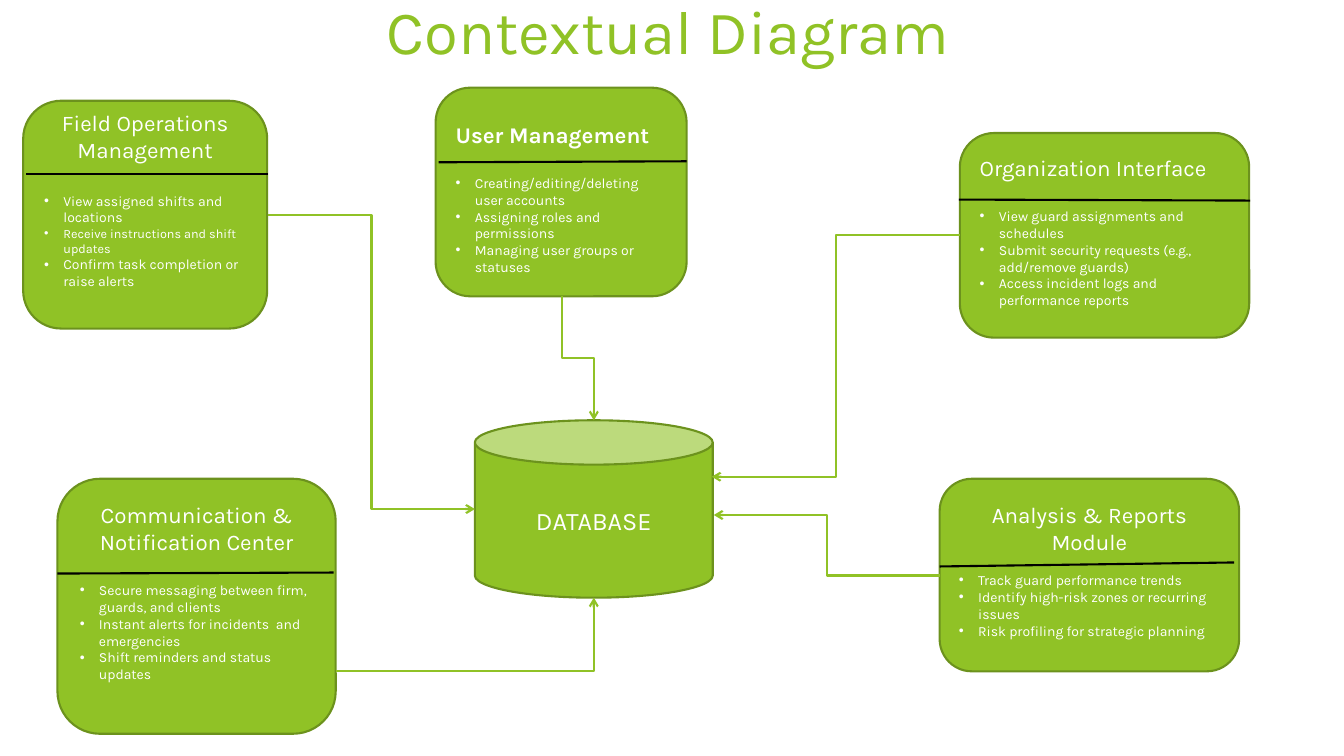
from lxml import etree
from pptx import Presentation
from pptx import util as u
from pptx.dml.color import RGBColor
from pptx.enum import shapes, text
from pptx.oxml.ns import qn

GREEN, DARK_GREEN, BLACK, WHITE = "90C226", "6C921D", "000000", "FFFFFF"
SHAPE, ALIGN, ANCHOR = shapes.MSO_SHAPE, text.PP_ALIGN, text.MSO_ANCHOR

# Box, top margin, heading format, heading, gap below it in points, bullets, divider ends
CARDS = [
    ((4.32, 0.87, 2.49, 2.07), 0.23, {"bold": True}, ALIGN.LEFT, "User Management", 19,
     [("Creating/editing/deleting user accounts", 10),
      ("Assigning roles and permissions", 10),
      ("Managing user groups or statuses", 10)],
     (4.35, 1.61, 6.81, 1.6)),
    ((0.57, 4.75, 2.76, 2.53), 0.1, {}, ALIGN.CENTER, "Communication & Notification Center", 19,
     [("Secure messaging between firm, guards, and clients", 10),
      ("Instant alerts for incidents  and emergencies", 10),
      ("Shift reminders and status updates", 10)],
     (0.57, 5.69, 3.31, 5.68)),
    ((9.52, 1.32, 2.87, 2.03), 0.11, {}, ALIGN.LEFT, "Organization Interface", 19,
     [("View guard assignments and schedules", 10),
      ("Submit security requests (e.g., add/remove guards)", 10),
      ("Access incident logs and performance reports", 10)],
     (9.51, 1.98, 12.4, 1.99)),
    ((9.32, 4.75, 2.97, 1.91), 0.13, {}, ALIGN.CENTER, "Analysis & Reports Module", 12,
     [("Track guard performance trends", 10),
      ("Identify high-risk zones or recurring issues", 10),
      ("Risk profiling for strategic planning", 10)],
     (9.32, 5.62, 12.24, 5.58)),
    ((0.23, 1, 2.42, 2.26), -0.03, {}, ALIGN.CENTER, "Field Operations Management", 21,
     [("View assigned shifts and locations", 10),
      ("Receive instructions and shift updates", 9),
      ("Confirm task completion or raise alerts", 10)],
     (0.26, 1.73, 2.66, 1.73)),
]

# Ends of the arrow, then its kind
ARROWS = [
    ((2.66, 2.13, 4.71, 5.05), "across"),
    ((3.33, 6.66, 5.89, 5.93), "corner"),
    ((5.57, 2.94, 5.89, 4.17), "down"),
    ((9.52, 2.33, 7.06, 4.73), "across"),
    ((9.32, 5.71, 7.08, 5.11), "across"),
]


def colour(value):
    return RGBColor.from_string(value)


def inches(values):
    return [u.Inches(value) for value in values]


def set_all(target, values):
    for name, value in values.items():
        setattr(target, name, value)


def write(para, words, size, ink, align, **font):
    para.alignment = align
    span = para.add_run()
    span.text = words
    set_all(span.font, {"name": "Karla", "size": u.Pt(size), **font})
    span.font.color.rgb = colour(ink)


def add_bullet(para):
    properties = para._p.get_or_add_pPr()
    indent = u.Inches(0.19)
    properties.set("marL", str(indent))
    properties.set("indent", str(-indent))
    etree.SubElement(properties, qn("a:buFont"), typeface="Arial")
    etree.SubElement(properties, qn("a:buChar"), char="•")


def add_title(page, words):
    box = page.shapes.add_textbox(*inches((3.45, 0, 6.07, 0.71)))
    set_all(box.text_frame, {"word_wrap": True, "vertical_anchor": ANCHOR.BOTTOM})
    write(box.text_frame.paragraphs[0], words, 44, GREEN, ALIGN.RIGHT)


def add_green_shape(page, kind, place):
    shape = page.shapes.add_shape(kind, *inches(place))
    shape.shadow.inherit = False
    shape.fill.solid()
    shape.fill.fore_color.rgb = colour(GREEN)
    shape.line.color.rgb = colour(DARK_GREEN)
    shape.line.width = u.Pt(1.5)
    shape.text_frame.word_wrap = True
    return shape


def add_database(page):
    frame = add_green_shape(page, SHAPE.CAN, (4.71, 4.17, 2.36, 1.76)).text_frame
    frame.vertical_anchor = ANCHOR.MIDDLE
    write(frame.paragraphs[0], "DATABASE", 18, WHITE, ALIGN.CENTER)


def add_card(page, place, top, font, align, heading, gap, bullets, divider):
    frame = add_green_shape(page, SHAPE.ROUNDED_RECTANGLE, place).text_frame
    set_all(frame, {"vertical_anchor": ANCHOR.TOP, "margin_top": u.Inches(top)})
    para = frame.paragraphs[0]
    write(para, heading, 16, WHITE, align, **font)
    para.space_after = u.Pt(gap)
    for words, size in bullets:
        para = frame.add_paragraph()
        write(para, words, size, WHITE, ALIGN.LEFT)
        add_bullet(para)
    add_line(page, shapes.MSO_CONNECTOR.STRAIGHT, divider, BLACK)


def add_line(page, kind, ends, ink):
    line = page.shapes.add_connector(kind, *inches(ends))
    line.line.color.rgb = colour(ink)
    line.line.width = u.Pt(1.5)
    etree.SubElement(line._element.spPr, qn("a:effectLst"))
    return line


def add_arrow(page, ends, kind):
    """Draw an elbow arrow; "down" leaves vertically, "corner" bends once."""
    if kind == "down":
        x1, y1, x2, y2 = ends
        middle_x, middle_y = (x1 + x2) / 2, (y1 + y2) / 2
        half_x, half_y = (x2 - x1) / 2, (y2 - y1) / 2
        ends = (middle_x - half_y, middle_y + half_x, middle_x + half_y, middle_y - half_x)
    arrow = add_line(page, shapes.MSO_CONNECTOR.ELBOW, ends, GREEN)
    properties = arrow._element.spPr
    if kind == "down":
        properties.find(qn("a:xfrm")).set("rot", str(90 * 60000))
    if kind == "corner":
        properties.find(qn("a:prstGeom")).set("prst", "bentConnector2")
    etree.SubElement(properties.find(qn("a:ln")), qn("a:tailEnd"), type="arrow")


def main():
    deck = Presentation()
    set_all(deck, {"slide_width": u.Inches(13.33), "slide_height": u.Inches(7.5)})
    page = deck.slides.add_slide(deck.slide_layouts[6])
    add_title(page, "Contextual Diagram")
    add_database(page)
    for card in CARDS:
        add_card(page, *card)
    for ends, kind in ARROWS:
        add_arrow(page, ends, kind)
    deck.save("out.pptx")


if __name__ == "__main__":
    main()
